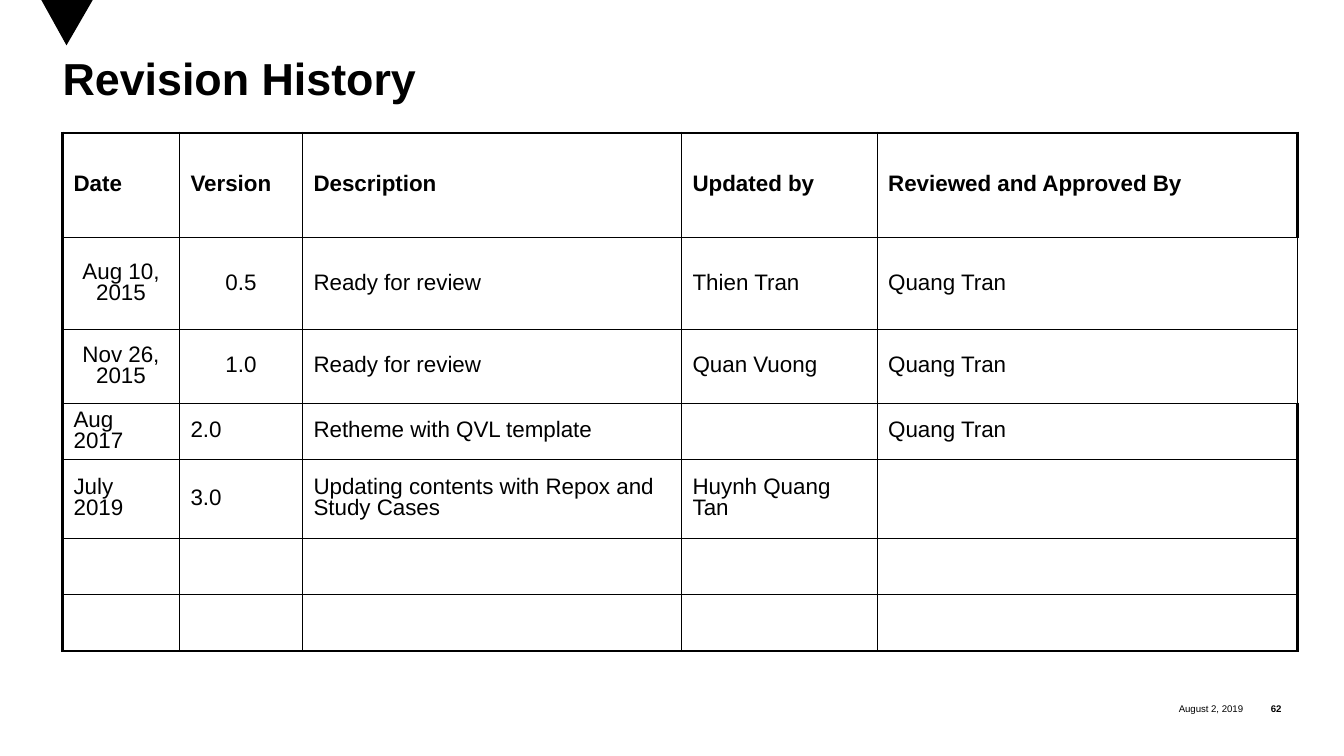
from lxml import etree
from pptx import Presentation
from pptx.dml.color import RGBColor
from pptx.enum.text import MSO_ANCHOR, PP_ALIGN
from pptx.oxml.ns import qn
from pptx.util import Inches, Pt

BLACK = RGBColor(0, 0, 0)
FONT = "Arial"
LEFT, CENTER, RIGHT = PP_ALIGN.LEFT, PP_ALIGN.CENTER, PP_ALIGN.RIGHT
TOP, MIDDLE = MSO_ANCHOR.TOP, MSO_ANCHOR.MIDDLE
THIN, THICK = 1, 2.25

COLUMN_WIDTHS = [1.16, 1.22, 3.76, 1.94, 4.17]
ROW_HEIGHTS = [1.04, 0.91, 0.73, 0.56, 0.78, 0.56, 0.56]
REVISIONS = [
    ["Date", "Version", "Description", "Updated by", "Reviewed and Approved By"],
    ["Aug 10, 2015", "0.5", "Ready for review", "Thien Tran", "Quang Tran"],
    ["Nov 26, 2015", "1.0", "Ready for review", "Quan Vuong", "Quang Tran"],
    ["Aug 2017", "2.0", "Retheme with QVL template", "", "Quang Tran"],
    ["July 2019", "3.0", "Updating contents with Repox and Study Cases", "Huynh Quang Tan", ""],
    [""] * 5,
    [""] * 5,
]
CENTERED_ROWS = (1, 2)


def style_paragraph(paragraph, size, bold=False, align=LEFT):
    paragraph.alignment = align
    font = paragraph.font
    font.name = FONT
    font.size = Pt(size)
    font.bold = bold
    font.color.rgb = BLACK


def add_text(slide, text, left, top, width, height, size,
             bold=False, align=LEFT, anchor=MIDDLE, wrap=True):
    box = slide.shapes.add_textbox(Inches(left), Inches(top), Inches(width), Inches(height))
    frame = box.text_frame
    frame.word_wrap = wrap
    frame.vertical_anchor = anchor
    frame.margin_left = frame.margin_right = frame.margin_top = frame.margin_bottom = 0
    paragraph = frame.paragraphs[0]
    paragraph.text = text
    style_paragraph(paragraph, size, bold, align)
    return paragraph


def add_corner_triangle(slide):
    builder = slide.shapes.build_freeform(Inches(0.41), 0)
    builder.add_line_segments([(Inches(0.66), Inches(0.45)), (Inches(0.92), 0)])
    triangle = builder.convert_to_shape()
    triangle.shadow.inherit = False
    triangle.fill.solid()
    triangle.fill.fore_color.rgb = BLACK
    triangle.line.fill.background()


def set_borders(cell, left, right, top, bottom):
    properties = cell._tc.get_or_add_tcPr()
    for side, width in zip("LRTB", (left, right, top, bottom)):
        line = etree.SubElement(properties, qn(f"a:ln{side}"), w=str(Pt(width)))
        fill = etree.SubElement(line, qn("a:solidFill"))
        etree.SubElement(fill, qn("a:srgbClr"), val=str(BLACK))


def set_percent_space_before(paragraph, percent):
    spacing = etree.SubElement(paragraph._p.get_or_add_pPr(), qn("a:spcBef"))
    etree.SubElement(spacing, qn("a:spcPct"), val=str(percent * 1000))


def fill_cell(cell, text, bold, align):
    cell.fill.background()
    cell.vertical_anchor = MIDDLE
    cell.margin_left = cell.margin_right = Inches(0.11)
    cell.margin_top = cell.margin_bottom = Inches(0.05)
    paragraph = cell.text_frame.paragraphs[0]
    paragraph.text = text
    paragraph.line_spacing = 0.85
    set_percent_space_before(paragraph, 35)
    style_paragraph(paragraph, 16, bold, align)


def add_revision_table(slide):
    table = slide.shapes.add_table(
        len(ROW_HEIGHTS), len(COLUMN_WIDTHS), Inches(0.62), Inches(1.32),
        Inches(sum(COLUMN_WIDTHS)), Inches(sum(ROW_HEIGHTS))).table
    table.first_row = table.horz_banding = False
    for column, width in zip(table.columns, COLUMN_WIDTHS):
        column.width = Inches(width)
    last_column = len(COLUMN_WIDTHS) - 1
    for row_index, (height, texts) in enumerate(zip(ROW_HEIGHTS, REVISIONS)):
        table.rows[row_index].height = Inches(height)
        centered_row = row_index in CENTERED_ROWS
        for column_index, text in enumerate(texts):
            cell = table.cell(row_index, column_index)
            thick_right = column_index == last_column and not centered_row
            set_borders(cell,
                        left=THICK if column_index == 0 else THIN,
                        right=THICK if thick_right else THIN,
                        top=THICK if row_index == 0 else THIN,
                        bottom=THIN)
            align = CENTER if centered_row and column_index < 2 else LEFT
            fill_cell(cell, text, row_index == 0, align)


def main():
    presentation = Presentation()
    presentation.slide_width = Inches(13.33)
    presentation.slide_height = Inches(7.5)
    slide = presentation.slides.add_slide(presentation.slide_layouts[6])
    add_corner_triangle(slide)
    add_text(slide, "August 2, 2019", 10.84, 6.91, 1.49, 0.25, 6.9, align=RIGHT, wrap=False)
    add_text(slide, "62", 12.33, 6.91, 0.38, 0.25, 6.9, bold=True, align=RIGHT)
    title = add_text(slide, "Revision History", 0.62, 0.58, 12.08, 1.29, 32, bold=True, anchor=TOP)
    title.line_spacing = 0.85
    add_revision_table(slide)
    presentation.save("out.pptx")


if __name__ == "__main__":
    main()
